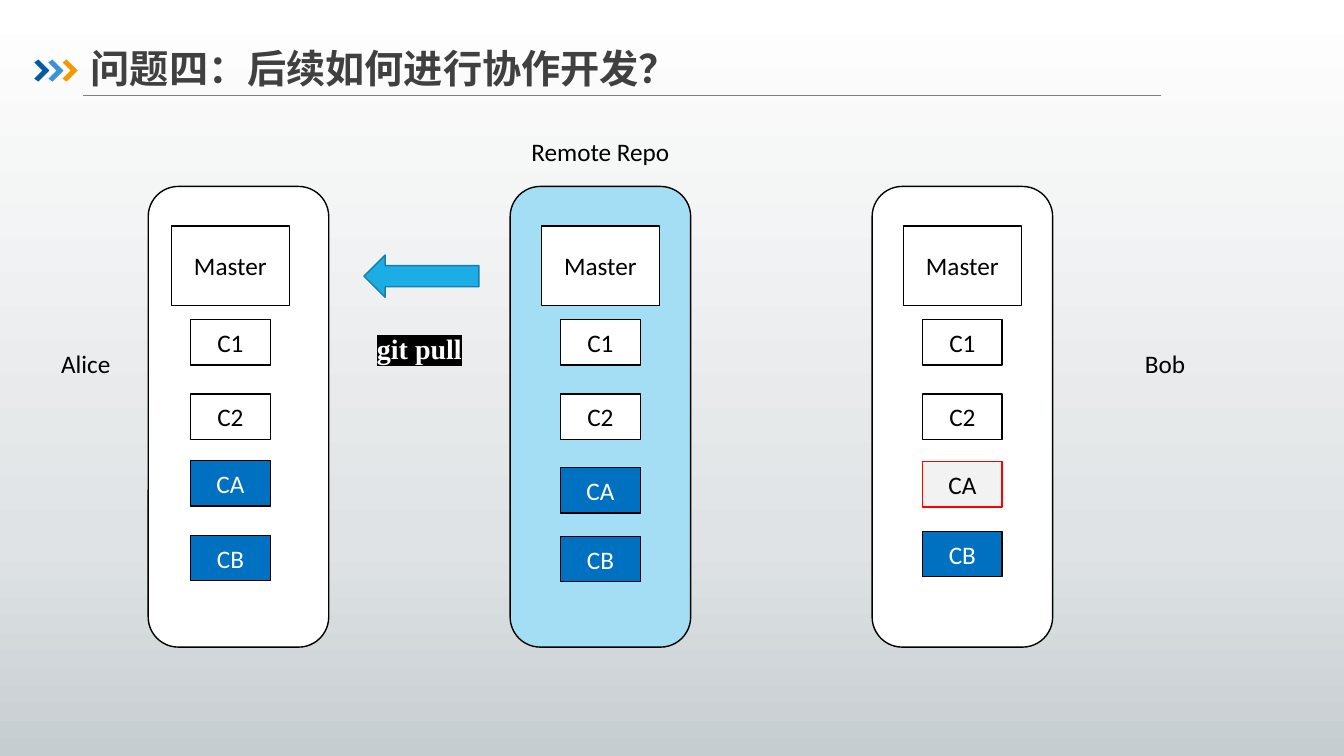
from pptx import Presentation
from pptx.dml.color import RGBColor
from pptx.enum.shapes import MSO_CONNECTOR, MSO_SHAPE
from pptx.enum.text import MSO_ANCHOR, MSO_AUTO_SIZE, PP_ALIGN
from pptx.oxml import parse_xml
from pptx.oxml.ns import nsdecls, qn
from pptx.util import Pt
from lxml.etree import SubElement

PX = 9144  # 100 px to the inch

BLACK = RGBColor(0x00, 0x00, 0x00)
WHITE = RGBColor(0xFF, 0xFF, 0xFF)
GREY = RGBColor(0x80, 0x80, 0x80)
TITLE_GREY = RGBColor(0x40, 0x40, 0x40)
PALE_GREY = RGBColor(0xF2, 0xF2, 0xF2)
RED = RGBColor(0xFF, 0x00, 0x00)
NAVY = RGBColor(0x00, 0x5D, 0xA2)
BLUE = RGBColor(0x39, 0x92, 0xDB)
ORANGE = RGBColor(0xF7, 0x96, 0x00)
COMMIT_BLUE = RGBColor(0x00, 0x70, 0xC0)
SKY = RGBColor(0xA4, 0xDE, 0xF4)
ARROW_FILL = RGBColor(0x1C, 0xAD, 0xE4)
ARROW_LINE = RGBColor(0x15, 0x80, 0xA9)

prs = Presentation()
prs.slide_width, prs.slide_height = 1333 * PX, 750 * PX
s = prs.slides.add_slide(prs.slide_layouts[5])


def write(sp, text, size=18, font="Calibri", color=BLACK, bold=False, align=PP_ALIGN.CENTER):
    p = sp.text_frame.paragraphs[0]
    p.alignment = align
    r = p.add_run()
    r.text = text
    r.font.size, r.font.name, r.font.bold = Pt(size), font, bold
    r.font.color.rgb = color
    return r


def add_box(preset, x, y, w, h, fill, line=BLACK):
    sp = s.shapes.add_shape(preset, x * PX, y * PX, w * PX, h * PX)
    sp.shadow.inherit = False
    sp.fill.solid()
    sp.fill.fore_color.rgb = fill
    sp.line.color.rgb = line
    sp.line.width = Pt(1)
    sp.text_frame.vertical_anchor = MSO_ANCHOR.MIDDLE
    return sp


# Background gradient
stops = "".join(
    f'<a:gs pos="{pos}000"><a:srgbClr val="{color}"/></a:gs>'
    for pos, color in [(0, "FFFFFF"), (72, "DFE3E5"), (100, "C6CDD1")])
s.element.cSld.insert(0, parse_xml(
    f'<p:bg {nsdecls("p", "a")}><p:bgPr><a:gradFill><a:gsLst>{stops}</a:gsLst>'
    '<a:lin ang="5400000" scaled="0"/></a:gradFill><a:effectLst/></p:bgPr></p:bg>'))

# Title with rule and chevrons
rule = s.shapes.add_connector(MSO_CONNECTOR.STRAIGHT, 82 * PX, 95 * PX, 1152 * PX, 95 * PX)
rule.line.color.rgb = GREY
rule.line.width = Pt(0.5)
SubElement(rule.element.spPr, qn("a:effectLst"))

for i, color in enumerate([NAVY, BLUE, ORANGE]):
    x = 34 + 14 * i
    outline = s.shapes.build_freeform(x, 62, scale=PX)
    outline.add_line_segments([(x + 4, 59), (x + 15, 70), (x + 4, 81), (x, 78), (x + 8, 70)])
    chevron = outline.convert_to_shape()
    chevron.shadow.inherit = False
    chevron.fill.solid()
    chevron.fill.fore_color.rgb = color
    chevron.line.fill.background()

title = s.shapes.title
title.left, title.top, title.width, title.height = 80 * PX, 9 * PX, 1176 * PX, 87 * PX
tf = title.text_frame
tf.auto_size = MSO_AUTO_SIZE.NONE
tf.vertical_anchor = MSO_ANCHOR.BOTTOM
tf.paragraphs[0].line_spacing = 0.9
r = write(title, "问题四：后续如何进行协作开发？", 28, "Noto Sans CJK SC", TITLE_GREY, True, PP_ALIGN.LEFT)
SubElement(r.font._element, qn("a:ea"), typeface="Noto Sans CJK SC")

# Repositories: panel left, commit left, panel fill, CA top, CB top, CA colours
PUSHED = (COMMIT_BLUE, BLACK, WHITE)
repos = [
    (147, 189, WHITE, 457, 531, PUSHED),
    (506, 556, SKY, 464, 532, PUSHED),
    (865, 915, WHITE, 458, 527, (PALE_GREY, RED, BLACK)),
]
for panel_x, commit_x, panel_fill, ca_y, cb_y, ca_colors in repos:
    add_box(MSO_SHAPE.ROUNDED_RECTANGLE, panel_x, 185, 179, 457, panel_fill)
    write(add_box(MSO_SHAPE.RECTANGLE, commit_x - 19, 224, 117, 79, WHITE), "Master")
    commits = [
        ("C1", 317, (WHITE, BLACK, BLACK)),
        ("C2", 391, (WHITE, BLACK, BLACK)),
        ("CA", ca_y, ca_colors),
        ("CB", cb_y, PUSHED),
    ]
    for name, y, (fill, line, color) in commits:
        write(add_box(MSO_SHAPE.RECTANGLE, commit_x, y, 79, 45, fill, line), name, color=color)

# Pull arrow
arrow = add_box(MSO_SHAPE.RIGHT_ARROW, 361, 253, 114, 42, ARROW_FILL, ARROW_LINE)
arrow.rotation = 180

# Labels
labels = [
    ("Alice", 23, 341, 124, 40, {}),
    ("Bob", 1096, 341, 119, 40, {}),
    ("Remote Repo", 506, 130, 179, 40, {}),
    ("git pull", 364, 324, 166, 44,
     dict(size=20, font="Times New Roman", color=WHITE, bold=True, align=PP_ALIGN.LEFT)),
]
for text, x, y, w, h, style in labels:
    label = s.shapes.add_textbox(x * PX, y * PX, w * PX, h * PX)
    label.text_frame.word_wrap = True
    r = write(label, text, **style)

# Black highlight behind the command, the last label
highlight = parse_xml(f'<a:highlight {nsdecls("a")}><a:srgbClr val="{BLACK}"/></a:highlight>')
r.font._element.find(qn("a:solidFill")).addnext(highlight)

prs.save("out.pptx")
